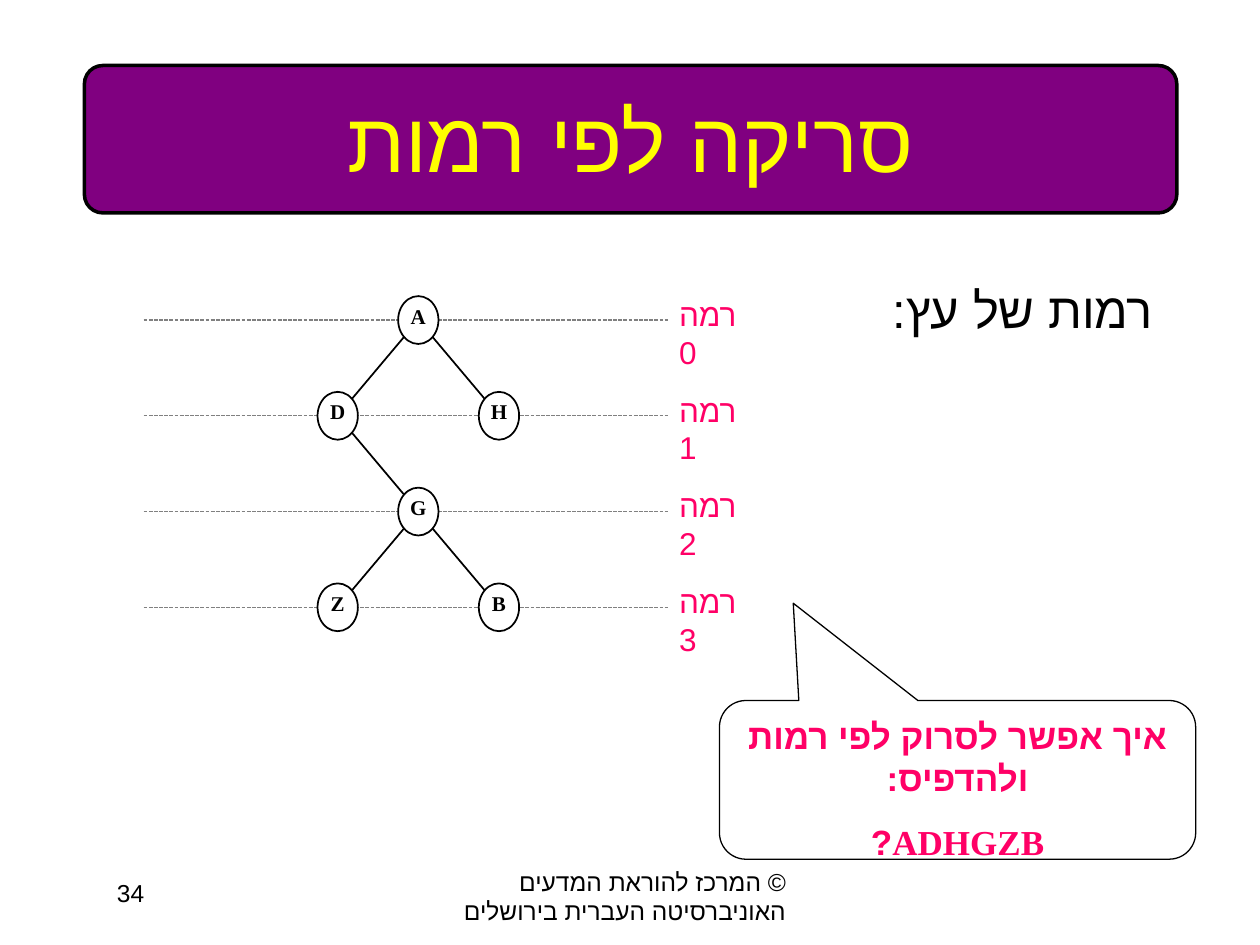
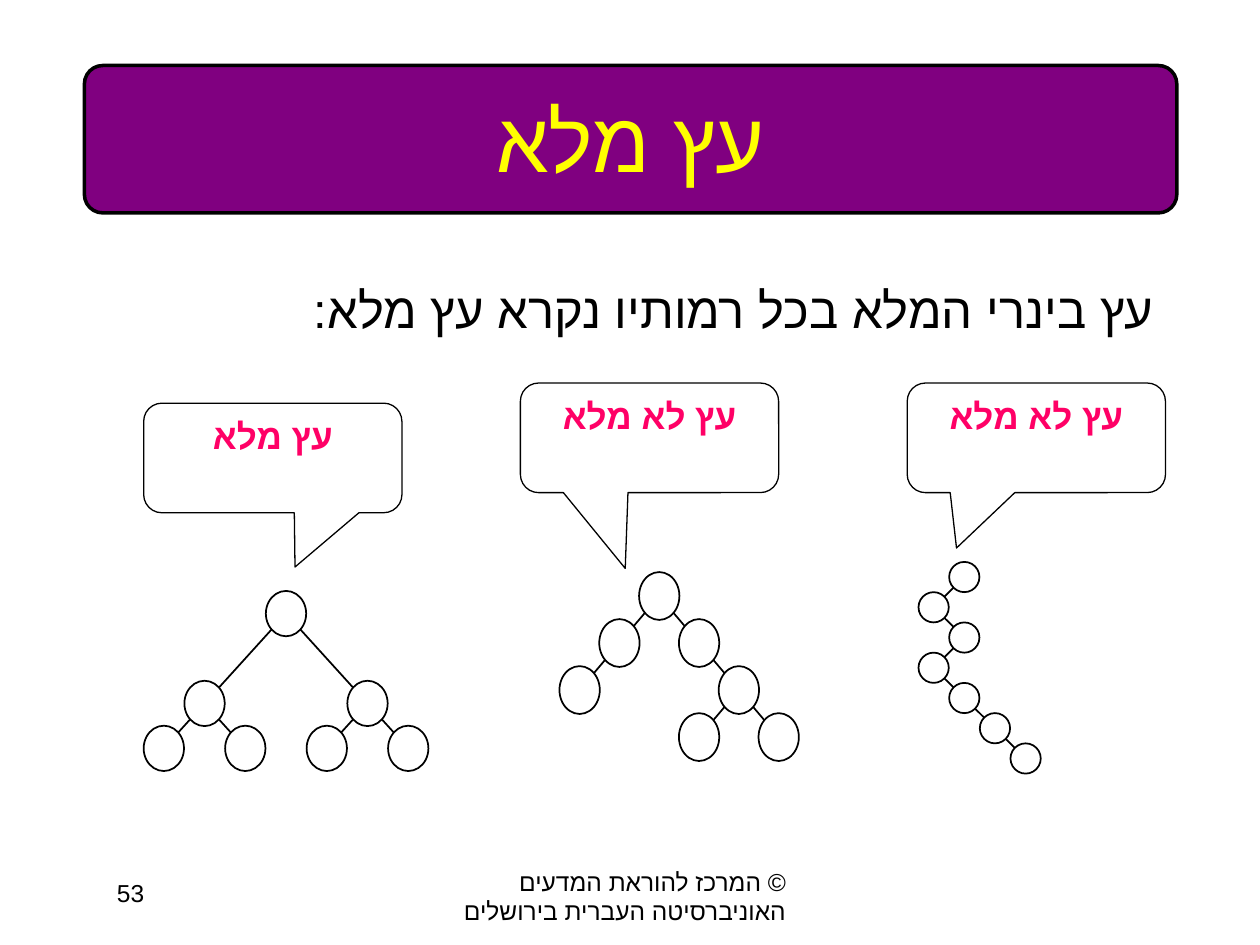
"""Build two slides on tree levels and full trees."""
import itertools

import lxml.etree
import pptx
import pptx.dml.color
import pptx.enum.dml
import pptx.enum.shapes
import pptx.enum.text
import pptx.oxml.ns
import pptx.util

Inches = pptx.util.Inches
Pt = pptx.util.Pt
ALIGN = pptx.enum.text.PP_ALIGN
ANCHOR = pptx.enum.text.MSO_ANCHOR
SHAPE = pptx.enum.shapes.MSO_SHAPE
LINE = pptx.enum.shapes.MSO_CONNECTOR.STRAIGHT
DASH = pptx.enum.dml.MSO_LINE.SQUARE_DOT
qn = pptx.oxml.ns.qn

COLORS = {"band": "800080", "title": "FFFF00", "ink": "000000",
          "pink": "FF0066", "rule": "808080", "paper": "FFFFFF"}
FONT = "Times New Roman"
HEBREW = "Arial"
FOOTER = "© המרכז להוראת המדעים האוניברסיטה העברית בירושלים"


def tint(name):
    """Return the named colour."""
    return pptx.dml.color.RGBColor.from_string(COLORS[name])


def write(shape, text, size, color="ink", bold=False, align=ALIGN.CENTER,
          rtl=True, gap=0, pads=(0.1, 0.05, 0.1, 0.05), anchor=ANCHOR.TOP,
          wrap=True):
    """Fill a shape with styled text, one paragraph a line."""
    frame = shape.text_frame
    frame.text = text
    frame.word_wrap = wrap
    frame.vertical_anchor = anchor
    (frame.margin_left, frame.margin_top,
     frame.margin_right, frame.margin_bottom) = map(Inches, pads)
    for index, para in enumerate(frame.paragraphs):
        para.alignment = align
        para.space_before = Pt(gap if index else 0)
        para._p.get_or_add_pPr().set("rtl", str(int(rtl)))
        for run in para.runs:
            font = run.font
            font.name, font.size, font.bold = FONT, Pt(size), bold
            font.color.rgb = tint(color)
            mark = lxml.etree.SubElement(run._r.get_or_add_rPr(), qn("a:cs"))
            mark.set("typeface", HEBREW)


def label(slide, box, text, size, **style):
    """Add a text box."""
    shape = slide.shapes.add_textbox(*map(Inches, box))
    write(shape, text, size, **style)


def figure(shapes, kind, box, width, fill=None):
    """Add an outlined preset shape."""
    shape = shapes.add_shape(kind, *map(Inches, box))
    shape.shadow.inherit = False
    shape.line.color.rgb = tint("ink")
    shape.line.width = Pt(width)
    if fill:
        shape.fill.solid()
        shape.fill.fore_color.rgb = tint(fill)
    else:
        shape.fill.background()
    return shape


def rule(shapes, start, end, width=1, color="ink", dash=None):
    """Add a straight line between two points."""
    line = shapes.add_connector(LINE, *map(Inches, (*start, *end)))
    line.line.color.rgb = tint(color)
    line.line.width = Pt(width)
    line.line.dash_style = dash
    lxml.etree.SubElement(line._element.spPr, qn("a:effectLst"))


def callout(slide, box, tip, text):
    """Add a speech bubble whose tail ends at tip."""
    shape = figure(slide.shapes, SHAPE.ROUNDED_RECTANGULAR_CALLOUT, box, 0.75)
    for index, value in enumerate((*tip, 0.167)):
        shape.adjustments[index] = value
    write(shape, text, 20, color="pink", bold=True, gap=12.5)


def tree(slide, area, size, nodes, names=""):
    """Draw a tree from (column, row, parent) nodes on a grid in area."""
    left, top, width, height = area
    wide, high = size
    cols = max(node[0] for node in nodes)
    rows = max(node[1] for node in nodes)
    spots = [(left + width * col / cols, top + height * row / rows)
             for col, row, _ in nodes]
    shapes = slide.shapes.add_group_shape().shapes
    for spot, (_, _, parent) in zip(spots, nodes):
        if parent is not None:
            rule(shapes, spots[parent], spot)
    for (x, y), name in itertools.zip_longest(spots, names, fillvalue=""):
        box = (x - wide / 2, y - high / 2, wide, high)
        node = figure(shapes, SHAPE.OVAL, box, 1, "paper")
        if name:
            write(node, name, 12, bold=True, pads=(0, 0, 0, 0), wrap=False)


def page(deck, title, lead, number):
    """Add a slide with its title band, lead text and footer."""
    slide = deck.slides.add_slide(deck.slide_layouts[6])
    label(slide, (3.42, 6.83, 3.17, 0.5), FOOTER, 14, align=ALIGN.RIGHT,
          pads=(0.1, 0.05, 0.35, 0.05))
    label(slide, (0.83, 6.92, 0.5, 0.5), number, 14, align=ALIGN.LEFT)
    band = figure(slide.shapes, SHAPE.ROUNDED_RECTANGLE,
                  (0.67, 0.52, 8.67, 1.17), 2, "band")
    band.adjustments[0] = 0.125
    write(band, title, 48, color="title", anchor=ANCHOR.MIDDLE, wrap=False)
    label(slide, (0.75, 2.17, 8.5, 4.5), lead, 28, align=ALIGN.RIGHT)
    return slide


def levels(deck):
    """Build the slide on scanning by levels."""
    slide = page(deck, "סריקה לפי רמות", "רמות של עץ:", "34")
    for level in range(4):
        y = 2.54 + 0.76 * level
        rule(slide.shapes, (1.14, y), (5.3, y), 0.75, "rule", DASH)
        label(slide, (5.38, y - 0.21, 0.64, 0.34), f"רמה {level}", 18,
              color="pink", align=ALIGN.LEFT, rtl=False, pads=[0.01] * 4)
    nodes = [(1, 0, None), (0, 1, 0), (2, 1, 0),
             (1, 2, 1), (0, 3, 3), (2, 3, 3)]
    tree(slide, (2.68, 2.54, 1.28, 2.28), (0.32, 0.38), nodes, "ADHGZB")
    callout(slide, (5.71, 5.56, 3.78, 1.26), (-0.345, -1.113),
            "איך אפשר לסרוק לפי רמות ולהדפיס:\nADHGZB?")


def full(deck):
    """Build the slide on full trees."""
    slide = page(deck, "עץ מלא", "עץ בינרי המלא בכל רמותיו נקרא עץ מלא:", "53")
    tree(slide, (1.3, 4.87, 1.94, 1.07), (0.32, 0.36),
         [(3, 0, None), (1, 2, 0), (5, 2, 0), (0, 3, 1), (2, 3, 1),
          (4, 3, 2), (6, 3, 2)])
    tree(slide, (4.6, 4.73, 1.58, 1.12), (0.32, 0.38),
         [(2, 0, None), (1, 1, 0), (3, 1, 0), (0, 2, 1), (4, 2, 2),
          (3, 3, 4), (5, 3, 4)])
    chain = [(col, row, row - 1 if row else None)
             for row, col in enumerate((1, 0, 1, 0, 1, 2, 3))]
    tree(slide, (7.41, 4.58, 0.73, 1.44), (0.24, 0.24), chain)
    for left, top, tip, text in (
            (7.2, 3.04, (-0.309, 1.005), "עץ לא מלא"),
            (1.14, 3.2, (0.086, 0.995), "עץ מלא"),
            (4.13, 3.04, (-0.094, 1.191), "עץ לא מלא")):
        callout(slide, (left, top, 2.05, 0.87), tip, text)


def main():
    """Build and save the deck."""
    deck = pptx.Presentation()
    deck.slide_width, deck.slide_height = Inches(10), Inches(7.5)
    levels(deck)
    full(deck)
    deck.save("out.pptx")


if __name__ == "__main__":
    main()
